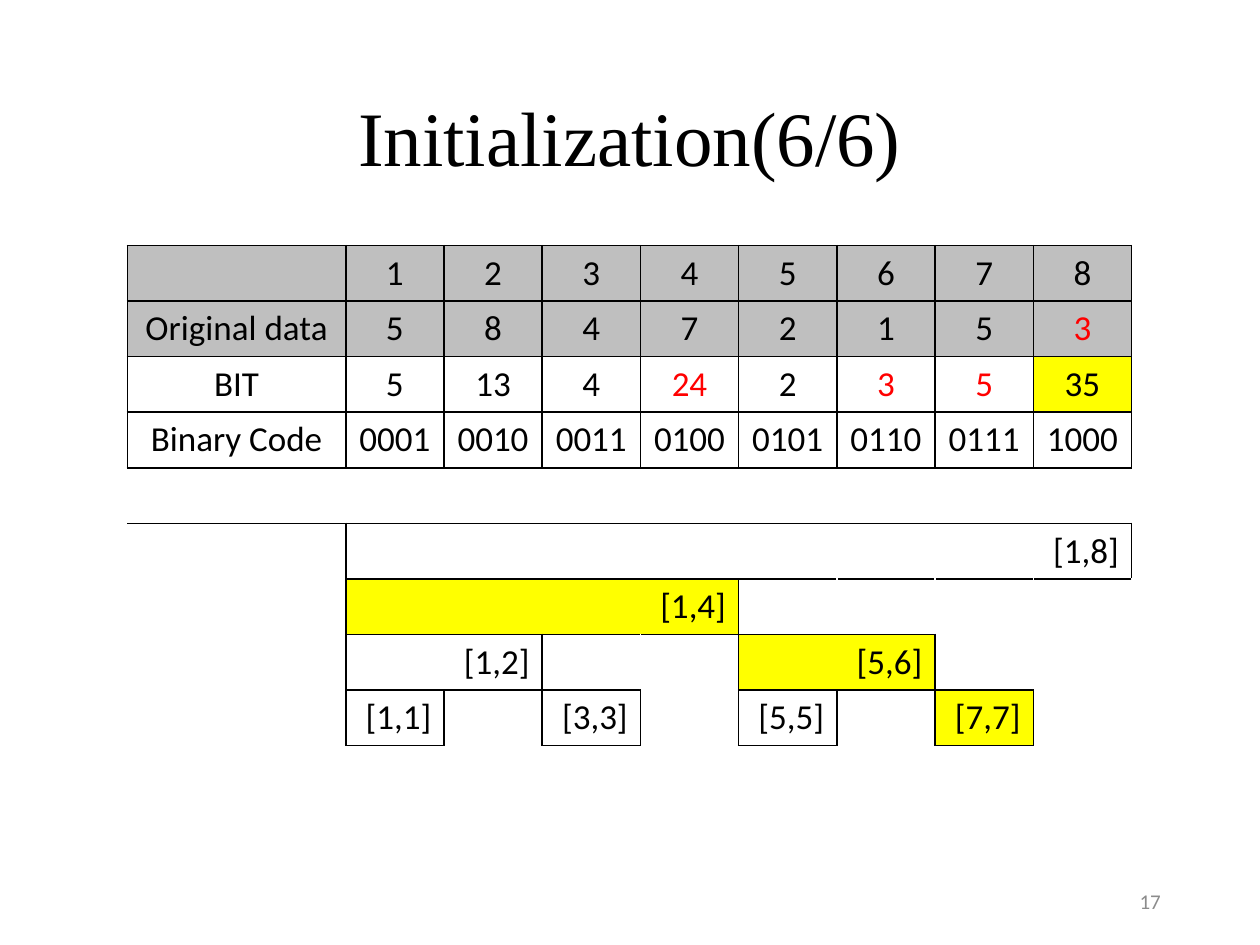
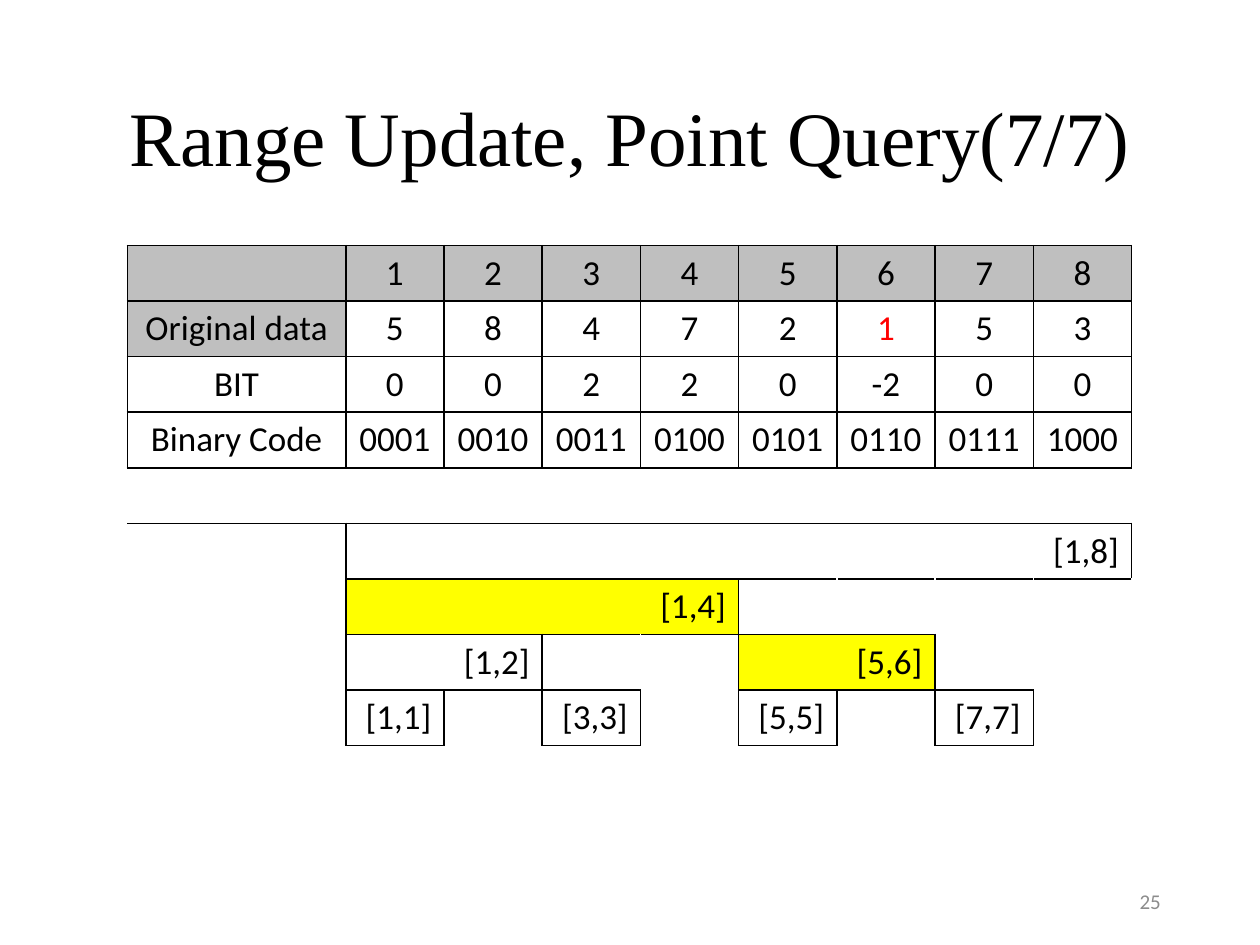
from lxml import etree
from pptx import Presentation
from pptx.dml.color import RGBColor
from pptx.enum.text import MSO_ANCHOR, PP_ALIGN
from pptx.oxml.ns import qn
from pptx.util import Cm, Pt

MIDDLE = MSO_ANCHOR.MIDDLE
CENTER, RIGHT = PP_ALIGN.CENTER, PP_ALIGN.RIGHT

BLACK = RGBColor(0x00, 0x00, 0x00)
WHITE = RGBColor(0xFF, 0xFF, 0xFF)
RED = RGBColor(0xFF, 0x00, 0x00)
YELLOW = RGBColor(0xFF, 0xFF, 0x00)
HEADER_GRAY = RGBColor(0xBF, 0xBF, 0xBF)
NUMBER_GRAY = RGBColor(0x8C, 0x8C, 0x8C)

TITLE_FONT, BODY_FONT = "Times New Roman", "Calibri"
PLAIN_TABLE_STYLE = "{2D5ABB26-0587-4C30-8999-92F81FD0307C}"

SIZE = 8          # number of elements in the indexed tree
DATA_ROWS = 4     # rows of the upper grid; one empty row follows it
TREE_TOP = 5      # first row of the interval tree
ROWS, COLUMNS = 9, SIZE + 1
SIDES = {"lnL": (0, -1), "lnR": (0, 1), "lnT": (-1, 0), "lnB": (1, 0)}

INDEXES = range(1, SIZE + 1)
ORIGINAL = [5, 8, 4, 7, 2, 1, 5, 3]
CODES = [f"{index:04b}" for index in INDEXES]

# Cells are given as (row, column); intervals by their right end
SLIDES = [
    {"title": "Initialization(6/6)", "number": "17",
     "bit": [5, 13, 4, 24, 2, 3, 5, 35],
     "gray": {(row, column) for row in (0, 1) for column in range(COLUMNS)},
     "red": {(1, 8), (2, 4), (2, 6), (2, 7)},
     "yellow": {(2, 8)}, "yellow_intervals": {4, 6, 7}},
    {"title": "Range Update, Point Query(7/7)", "number": "25",
     "bit": [0, 0, 2, 2, 0, -2, 0, 0],
     "gray": {(0, column) for column in range(COLUMNS)} | {(1, 0)},
     "red": {(1, 6)},
     "yellow": set(), "yellow_intervals": {4, 6}},
]


def format_text(text_frame, text, font, size, color, alignment):
    text_frame.text = text
    paragraph = text_frame.paragraphs[0]
    paragraph.alignment = alignment
    for run in paragraph.runs:
        run.font.name = font
        run.font.size = Pt(size)
        run.font.color.rgb = color


def add_border(cell, side, color):
    properties = cell._tc.get_or_add_tcPr()
    line = etree.SubElement(properties, qn(f"a:{side}"), w=str(Pt(1)))
    fill = etree.SubElement(line, qn("a:solidFill"))
    etree.SubElement(fill, qn("a:srgbClr"), val=str(color))


presentation = Presentation()
presentation.slide_width, presentation.slide_height = Cm(25.4), Cm(19.05)
title_only = presentation.slide_layouts[5]

# Each interval ends at its index and is as long as the index's lowest set bit
intervals = []
for last in INDEXES:
    length = last & -last
    intervals.append((ROWS - length.bit_length(), last - length + 1, last))

# Outlined cells: the whole upper grid and every interval
outlined = {(row, column) for row in range(DATA_ROWS) for column in range(COLUMNS)}
for row, first, last in intervals:
    outlined |= {(row, column) for column in range(first, last + 1)}
tree_area = {(row, column) for row in range(TREE_TOP, ROWS) for column in INDEXES}

for content in SLIDES:
    slide = presentation.slides.add_slide(title_only)

    # Title
    title = slide.shapes.title
    title.left, title.top, title.width, title.height = Cm(1.75), Cm(1.02), Cm(21.9), Cm(3.68)
    title.text_frame.vertical_anchor = MIDDLE
    format_text(title.text_frame, content["title"], TITLE_FONT, 44, BLACK, CENTER)
    title.text_frame.paragraphs[0].line_spacing = 0.9

    # Slide number
    number_box = slide.shapes.add_textbox(Cm(17.94), Cm(17.66), Cm(5.71), Cm(1.01))
    number_box.text_frame.word_wrap = True
    number_box.text_frame.vertical_anchor = MIDDLE
    format_text(number_box.text_frame, content["number"], BODY_FONT, 12, NUMBER_GRAY, RIGHT)

    # Table frame
    table = slide.shapes.add_table(ROWS, COLUMNS, Cm(2.57), Cm(4.95),
                                   Cm(20.24), Cm(10.08)).table
    table.first_row = table.horz_banding = False
    table._tbl.tblPr.find(qn("a:tableStyleId")).text = PLAIN_TABLE_STYLE
    for table_row in table.rows:
        table_row.height = Cm(1.12)
    for column, table_column in enumerate(table.columns):
        table_column.width = Cm(1.98 if column else 4.4)

    # Texts and yellow cells of the grid and the interval tree
    texts = {}
    grid = [["", *INDEXES], ["Original data", *ORIGINAL],
            ["BIT", *content["bit"]], ["Binary Code", *CODES]]
    for row, values in enumerate(grid):
        for column, value in enumerate(values):
            texts[row, column] = str(value)
    yellow = set(content["yellow"])
    for row, first, last in intervals:
        texts[row, first] = f"[{first},{last}]"
        if last in content["yellow_intervals"]:
            yellow.add((row, first))
        if last > first:
            table.cell(row, first).merge(table.cell(row, last))

    # Borders, fills and text of each cell
    for row in range(ROWS):
        for column in range(COLUMNS):
            place = (row, column)
            cell = table.cell(row, column)
            cell.vertical_anchor = MIDDLE
            for side, (down, across) in SIDES.items():
                neighbour = (row + down, column + across)
                if place in outlined or neighbour in outlined:
                    add_border(cell, side, BLACK)
                elif place in tree_area and neighbour in tree_area:
                    add_border(cell, side, WHITE)
            if place in yellow or place in content["gray"]:
                cell.fill.solid()
                cell.fill.fore_color.rgb = YELLOW if place in yellow else HEADER_GRAY
            else:
                cell.fill.background()
            if texts.get(place):
                color = RED if place in content["red"] else BLACK
                alignment = CENTER if row < DATA_ROWS else RIGHT
                format_text(cell.text_frame, texts[place], BODY_FONT, 20, color, alignment)

presentation.save("out.pptx")
